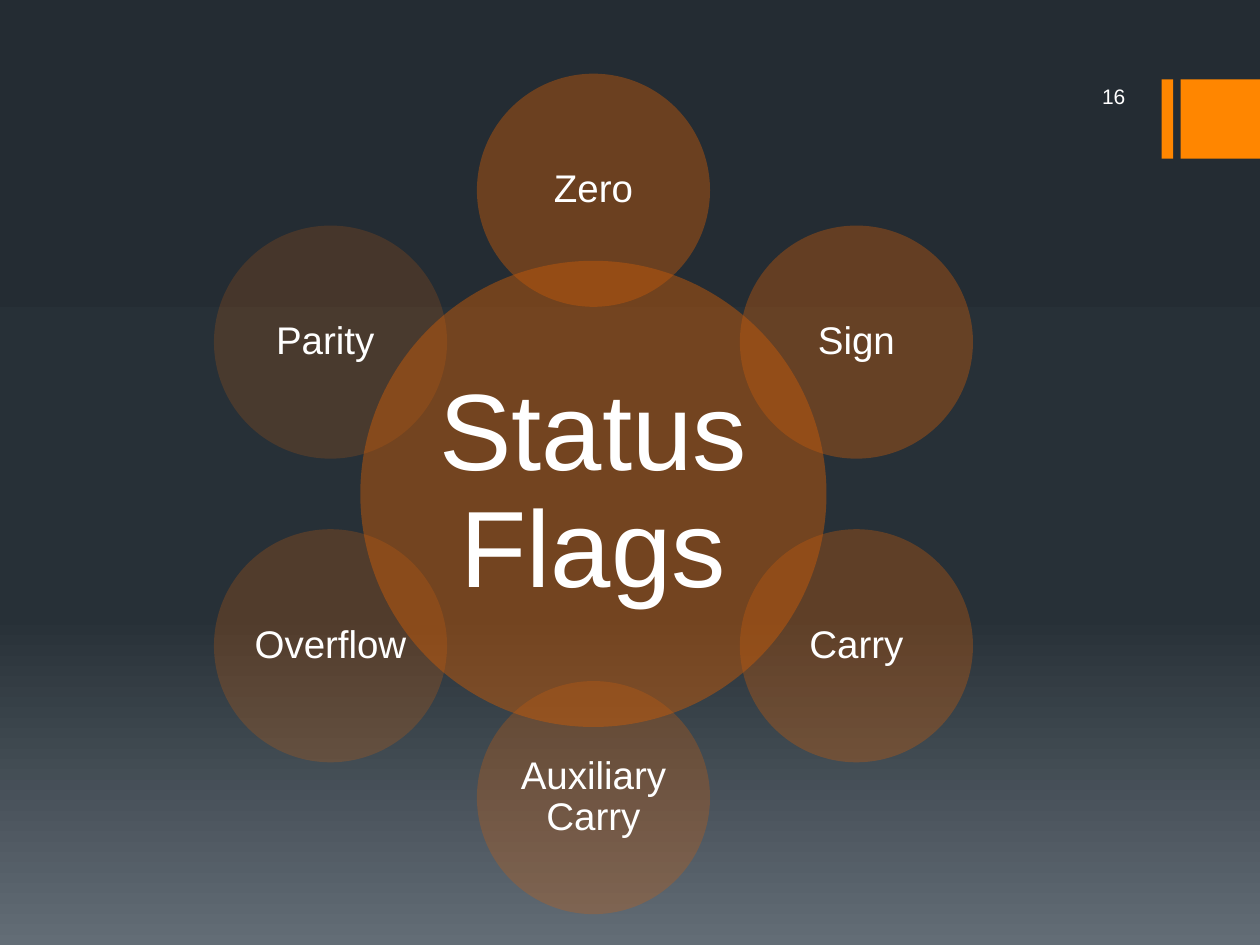
import copy
import math

import pptx
import pptx.dml.color
import pptx.enum.shapes
import pptx.enum.text
import pptx.oxml
import pptx.oxml.ns
import pptx.util
from pptx.dml.color import RGBColor
from pptx.util import Inches

WHITE = RGBColor(0xFF, 0xFF, 0xFF)
ACCENT = RGBColor(0xFF, 0x86, 0x00)
HUB = RGBColor(0xBF, 0x58, 0x0B)
BACKDROP = [
    (0, RGBColor(0x24, 0x2C, 0x33)),
    (0.65, RGBColor(0x27, 0x30, 0x37)),
    (1, RGBColor(0x63, 0x6D, 0x76)),
]
# Flags clockwise from the top
FLAGS = [
    ("Zero", RGBColor(0xC2, 0x5A, 0x0B)),
    ("Sign", RGBColor(0xC5, 0x5B, 0x0C)),
    ("Carry", RGBColor(0xC8, 0x5D, 0x0C)),
    ("Auxiliary Carry", RGBColor(0xCC, 0x5F, 0x0D)),
    ("Overflow", RGBColor(0xCF, 0x60, 0x0D)),
    ("Parity ", RGBColor(0xD2, 0x62, 0x0D)),
]
CENTER_X, CENTER_Y = 4.71, 3.92
RING_RADIUS = 2.41


def write(frame, text, size, align):
    frame.text = text
    frame.word_wrap = True
    frame.vertical_anchor = pptx.enum.text.MSO_ANCHOR.MIDDLE
    paragraph = frame.paragraphs[0]
    paragraph.alignment = align
    font = paragraph.runs[0].font
    font.name = "Arial"
    font.size = pptx.util.Pt(size)
    font.color.rgb = WHITE


def add_circle(x, y, diameter, color, opacity, text, size):
    circle = slide.shapes.add_shape(
        pptx.enum.shapes.MSO_SHAPE.OVAL,
        Inches(x - diameter / 2), Inches(y - diameter / 2),
        Inches(diameter), Inches(diameter))
    circle.shadow.inherit = False
    circle.line.fill.background()
    circle.fill.solid()
    circle.fill.fore_color.rgb = color
    # Transparency of the fill
    rgb = circle.element.spPr.find(".//" + pptx.oxml.ns.qn("a:srgbClr"))
    alpha = pptx.oxml.parse_xml(
        f'<a:alpha {pptx.oxml.ns.nsdecls("a")} val="{opacity * 1000}"/>')
    rgb.append(alpha)
    # Narrow margins keep each word whole
    frame = circle.text_frame
    frame.margin_left = frame.margin_right = Inches(0.03)
    frame.margin_top = frame.margin_bottom = Inches(0.03)
    write(frame, text, size, pptx.enum.text.PP_ALIGN.CENTER)
    frame.paragraphs[0].line_spacing = 0.9


presentation = pptx.Presentation()
presentation.slide_width = Inches(10)
presentation.slide_height = Inches(7.5)
slide = presentation.slides.add_slide(presentation.slide_layouts[6])

# Background gradient, top to bottom, with a third stop added
backdrop = slide.background.fill
backdrop.gradient()
backdrop.gradient_angle = 270
stops = slide.element.find(".//" + pptx.oxml.ns.qn("a:gsLst"))
stops.append(copy.deepcopy(stops[-1]))
for stop, (position, color) in zip(backdrop.gradient_stops, BACKDROP):
    stop.position = position
    stop.color.rgb = color

# Accent bars at the right edge
for left, width in [(9.22, 0.09), (9.37, 0.63)]:
    bar = slide.shapes.add_shape(
        pptx.enum.shapes.MSO_SHAPE.RECTANGLE,
        Inches(left), Inches(0.63), Inches(width), Inches(0.63))
    bar.shadow.inherit = False
    bar.fill.solid()
    bar.fill.fore_color.rgb = ACCENT
    bar.line.fill.background()

# Hub, then the flags around it, each one fainter than the last
add_circle(CENTER_X, CENTER_Y, 3.7, HUB, 50, "Status Flags", 62)
for index, (flag, color) in enumerate(FLAGS):
    angle = math.radians(360 / len(FLAGS) * index)
    add_circle(CENTER_X + RING_RADIUS * math.sin(angle),
               CENTER_Y - RING_RADIUS * math.cos(angle),
               1.85, color, 45 - 5 * index, flag, 22)

# Slide number
number = slide.shapes.add_textbox(
    Inches(8), Inches(0.6), Inches(1.03), Inches(0.33))
write(number.text_frame, "16", 12, pptx.enum.text.PP_ALIGN.RIGHT)

presentation.save("out.pptx")
